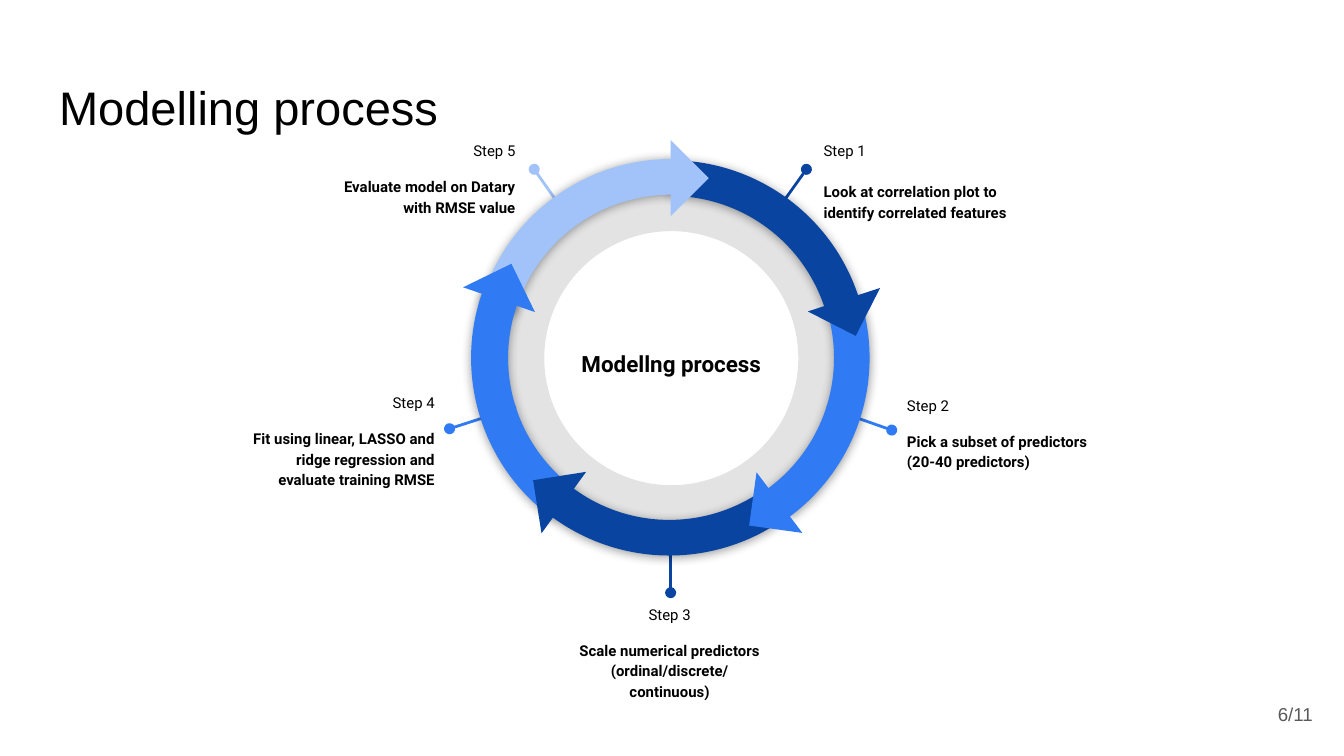
from dataclasses import dataclass

from lxml import etree
from pptx import Presentation, util as u
from pptx.dml.color import RGBColor
from pptx.enum import shapes, text
from pptx.oxml.ns import qn

# Grid: 100 columns by 56.25 rows, square cells (a 16:9 slide)
COLS, ROWS = 100, 56.25
CELL = u.Inches(0.1)
NAVY, BLUE, SKY, BLACK, GREY = "0944A1", "307BF3", "A1C3FA", "000000", "595959"
LEFT, MID, RIGHT = text.PP_ALIGN.LEFT, text.PP_ALIGN.CENTER, text.PP_ALIGN.RIGHT
TIP = 4  # side of an arrow tip, in cells
GAP = 8.3  # points between a step's name and its body


@dataclass
class Step:
    name: str
    body: list[str]
    col: float
    row: float
    align: int
    dot: tuple[float, float]
    end: tuple[float, float]
    color: str
    gap: float = GAP


@dataclass
class Arc:
    col: float
    row: float
    size: float
    turn: float
    flip: bool
    adj: tuple[float, float, float]
    color: str
    edge: bool = False


@dataclass
class Tip:
    col: float
    row: float
    turn: float
    color: str


STEPS = [
    Step("Step 1", ["Look at correlation plot to identify correlated features"],
         60.3, 9.35, LEFT, (60, 12.6), (57, 16.8), NAVY, 11),
    Step("Step 5", ["Evaluate model on Datary with RMSE value"],
         22.95, 9.35, RIGHT, (39.75, 12.6), (42.7, 16.8), SKY),
    Step("Step 2", ["Pick a subset of predictors", "(20-40 predictors)"],
         66.5, 28.3, LEFT, (66.35, 32), (61.5, 30.3), BLUE),
    Step("Step 4", ["Fit using linear, LASSO and ridge regression and evaluate training RMSE"],
         16.95, 28.1, RIGHT, (33.45, 31.9), (38.4, 30.3), BLUE),
    Step("Step 3", ["Scale numerical predictors", "(ordinal/discrete/continuous)"],
         41.63, 43.85, MID, (49.9, 44.1), (49.9, 38.7), NAVY),
]
# Bands of the ring, split where the centre text and first tip come between
BACK = [
    Arc(35.2, 11.93, 29.4, 30, False, (144.14, 189.99, 0.09), NAVY),
    Arc(35.3, 11.93, 29.4, 210, True, (201.79, 26.24, 0.09), BLUE),
]
FRONT = [
    Arc(35.2, 11.83, 29.5, 330, True, (143.34, 188.55, 0.09), SKY),
    Arc(35.1, 11.93, 29.4, 150, False, (201.85, 30.07, 0.09), BLUE, True),
    Arc(35.1, 11.93, 29.4, 210, True, (157.39, 200.08, 0.09), NAVY),
]
FIRST = Tip(60.8, 20.3, 297, NAVY)
TIPS = [
    Tip(35.13, 20.3, 154, BLUE),
    Tip(56, 35.4, 7.9, BLUE),
    Tip(39.95, 35.4, 81, NAVY),
    Tip(47.9, 11.25, 225, SKY),
]


def cells(*spans: float) -> list[int]:
    return [round(span * CELL) for span in spans]


def paint(target, color: str) -> None:
    """Colour a fill, a line or a font."""
    if hasattr(target, "solid"):
        target.solid()
        target.fore_color.rgb = RGBColor.from_string(color)
    else:
        target.color.rgb = RGBColor.from_string(color)


def draw(slide, kind, box: tuple, color: str, turn: float = 0):
    shape = slide.shapes.add_shape(kind, *cells(*box))
    shape.shadow.inherit = False
    shape.rotation = turn
    paint(shape.fill, color)
    shape.line.fill.background()
    return shape


def write(slide, box: tuple, lines: list[str], size: float, font: str, color: str,
          align=LEFT, bold: bool = False, pitch: float = 1, middle: bool = False):
    frame = slide.shapes.add_textbox(*cells(*box)).text_frame
    frame.word_wrap = True
    frame.margin_left = frame.margin_right = CELL
    frame.margin_top = frame.margin_bottom = CELL
    frame.vertical_anchor = text.MSO_ANCHOR.MIDDLE if middle else text.MSO_ANCHOR.TOP
    frame.text = "\n".join(lines)
    for par in frame.paragraphs:
        par.alignment, par.line_spacing = align, pitch
        for run in par.runs:
            run.font.size, run.font.name = u.Pt(size), font
            run.font.bold = bold
            paint(run.font, color)
    return frame


def draw_step(slide, step: Step) -> None:
    line = slide.shapes.add_connector(
        shapes.MSO_CONNECTOR.STRAIGHT, *cells(*step.dot, *step.end))
    paint(line.line, step.color)
    line.line.width = u.Pt(1.5)
    props = line.element.spPr
    etree.SubElement(props.get_or_add_ln(), qn("a:headEnd"), type="oval")
    etree.SubElement(props, qn("a:effectLst"))
    frame = write(slide, (step.col, step.row, 16.4, 7.3), [step.name, *step.body],
                  8, "Roboto", BLACK, step.align, True, 1.15)
    name = frame.paragraphs[0]
    name.space_after = u.Pt(step.gap)
    name.runs[0].font.bold = False


def draw_arc(slide, arc: Arc) -> None:
    shape = draw(slide, shapes.MSO_SHAPE.BLOCK_ARC,
                 (arc.col, arc.row, arc.size, arc.size), arc.color, arc.turn)
    for index, value in enumerate(arc.adj):
        shape.adjustments[index] = value
    if arc.edge:
        paint(shape.line, arc.color)
        shape.line.width = u.Pt(0.75)
    props = shape.element.spPr
    if arc.flip:
        props.find(qn("a:xfrm")).set("flipH", "1")
    glow = etree.SubElement(
        props.find(qn("a:effectLst")), qn("a:outerShdw"), blurRad=str(u.Pt(5.6)),
        dist=str(u.Pt(0.8)), dir="5400000", algn="ctr", rotWithShape="0")
    shade = etree.SubElement(glow, qn("a:srgbClr"), val=BLACK)
    etree.SubElement(shade, qn("a:alpha"), val="40000")


def draw_tip(slide, tip: Tip) -> None:
    draw(slide, shapes.MSO_SHAPE.RIGHT_TRIANGLE, (tip.col, tip.row, TIP, TIP),
         tip.color, tip.turn)


def draw_ring(slide) -> None:
    ring = draw(slide, shapes.MSO_SHAPE.DONUT, (36.05, 12.75, 27.8, 27.8), BLACK)
    ring.adjustments[0] = 0.16
    shade = ring.element.spPr.find(qn("a:solidFill"))[0]
    etree.SubElement(shade, qn("a:alpha"), val="11000")


def main() -> None:
    deck = Presentation()
    deck.slide_width, deck.slide_height = cells(COLS, ROWS)
    slide = deck.slides.add_slide(deck.slide_layouts[6])
    write(slide, (3.41, 4.87, 93.2, 6.3), ["Modelling process"], 25.2, "Arial", BLACK)
    write(slide, (92.65, 51, 6, 4.3), ["6/11"], 10, "Arial", GREY, RIGHT, middle=True)
    draw_ring(slide)
    for step in STEPS:
        draw_step(slide, step)
    for arc in BACK:
        draw_arc(slide, arc)
    write(slide, (42.05, 22.5, 15.8, 8.8), ["Modellng process"], 12, "Roboto",
          "020202", MID, True, 1.15, True)
    draw_tip(slide, FIRST)
    for arc in FRONT:
        draw_arc(slide, arc)
    for tip in TIPS:
        draw_tip(slide, tip)
    deck.save("out.pptx")


if __name__ == "__main__":
    main()
